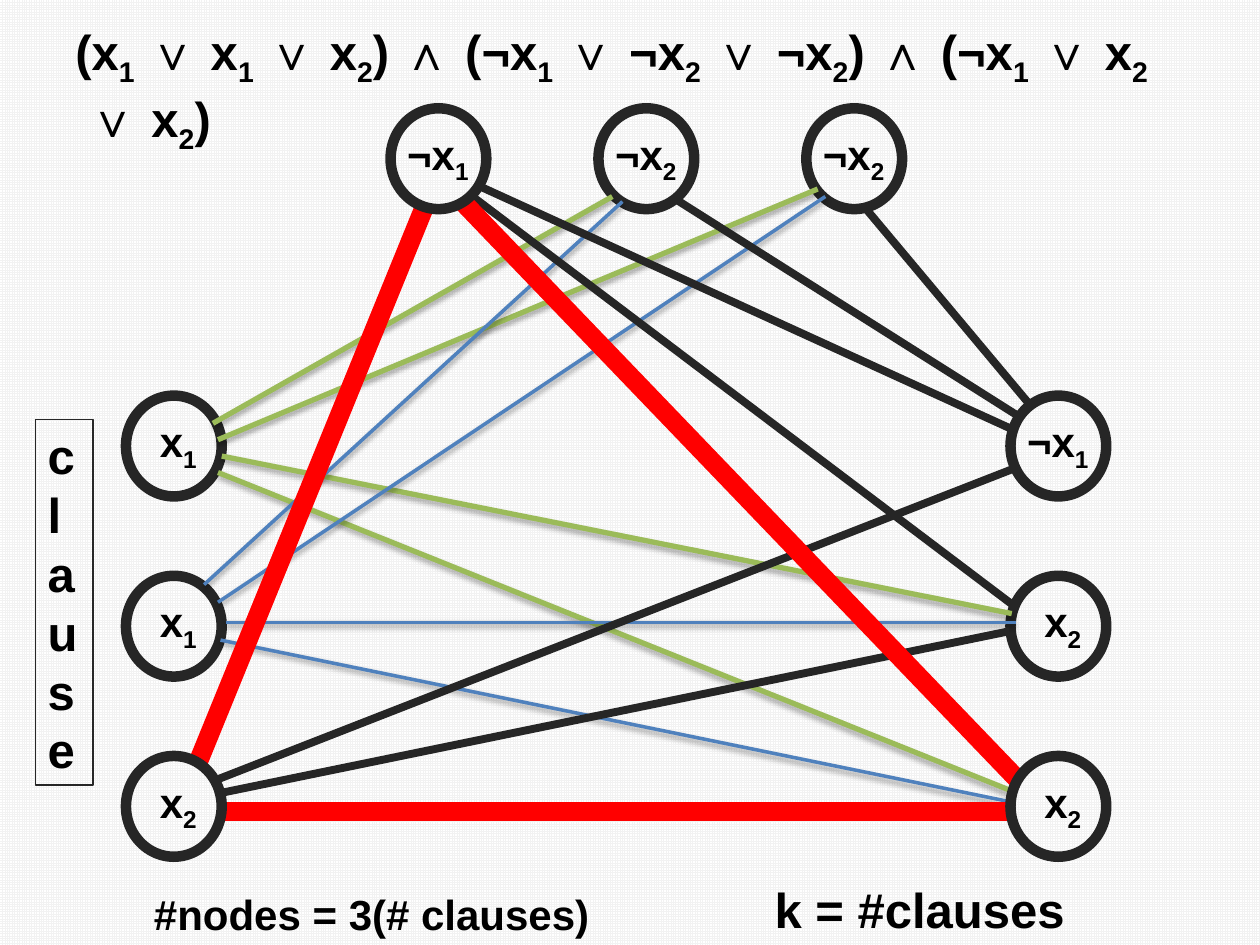
"""Build a slide that reduces a three-clause formula to a clique graph."""
from lxml.etree import SubElement
from pptx import Presentation
from pptx.dml.color import RGBColor as RGB
from pptx.enum.dml import MSO_PATTERN as Pattern
from pptx.enum.shapes import MSO_CONNECTOR as Link, MSO_SHAPE as Shape
from pptx.enum.text import MSO_ANCHOR as Anchor, PP_ALIGN as Align
from pptx.oxml.ns import qn
from pptx.util import Inches, Pt

BLACK, DARK = RGB(0, 0, 0), RGB(0x26, 0x26, 0x26)
GREEN, BLUE = RGB(0x9B, 0xBB, 0x59), RGB(0x4F, 0x81, 0xBD)
RED, PALE, WHITE = RGB(255, 0, 0), RGB(0xF2, 0xF2, 0xF2), RGB(255, 255, 255)

FORMULA = "(x_1 ∨ x_1 ∨ x_2) ∧ (¬x_1 ∨ ¬x_2 ∨ ¬x_2) ∧ (¬x_1 ∨ x_2\n ∨ x_2)"

LEFT, RIGHT, TOP = 1, 8.02, 0.86
COLS, ROWS = (3.1, 4.75, 6.4), (3.14, 4.57, 6)
BACK = [
    ("x_1", LEFT, ROWS[0]), ("¬x_1", RIGHT, ROWS[0]),
    ("x_1", LEFT, ROWS[1]), ("x_2", RIGHT, ROWS[1]),
    ("¬x_2", COLS[1], TOP), ("¬x_2", COLS[2], TOP),
]
FRONT = [("x_2", LEFT, ROWS[2]), ("x_2", RIGHT, ROWS[2]), ("¬x_1", COLS[0], TOP)]

# color, width, shadow (opacity %, distance pt), ends
EDGES = [
    (GREEN, 3, (35, 1.8), [
        (1.69, 3.36, 4.86, 1.56), (1.73, 3.49, 6.49, 1.5),
        (1.76, 3.62, 8.03, 4.87), (1.73, 3.75, 8.01, 6.27)]),
    (BLUE, 2, (38, 1.6), [
        (1.62, 4.64, 4.94, 1.6), (1.73, 4.78, 6.55, 1.56),
        (1.79, 4.94, 8.06, 4.94), (1.75, 5.08, 8, 6.36)]),
    (DARK, 4.5, None, [
        (1.69, 6.2, 8.07, 3.71), (1.72, 6.3, 8.01, 5.01),
        (3.81, 1.48, 8.04, 3.41), (3.75, 1.56, 8.05, 4.81),
        (5.36, 1.58, 8.11, 3.32), (6.85, 1.63, 8.18, 3.22)]),
    (RED, 11, None, [
        (3.37, 1.64, 1.56, 6.08), (8.02, 6.44, 1.76, 6.44),
        (3.67, 1.6, 8.07, 6.18)]),
]


def write(frame, text, size=24, align=Align.LEFT, wrap=True):
    frame.word_wrap = wrap
    frame.vertical_anchor = Anchor.TOP
    para = frame.paragraphs[0]
    para.alignment = align

    def add(part, sub=False):
        run = para.add_run()
        run.text = part
        font = run.font
        font.name, font.size, font.bold = "Arial", Pt(size), True
        font.color.rgb = BLACK
        if sub:
            run._r.get_or_add_rPr().set("baseline", "-25000")

    for row, line in enumerate(text.split("\n")):
        if row:
            para.add_line_break()
        head, *rest = line.split("_")
        add(head)
        for part in rest:
            add(part[0], sub=True)
            if part[1:]:
                add(part[1:])


def place(shapes, box, text, **form):
    area = shapes.add_textbox(*map(Inches, box))
    write(area.text_frame, text, **form)


def draw(shapes, kind, box, width):
    shape = shapes.add_shape(kind, *map(Inches, box))
    shape.shadow.inherit = False
    shape.fill.background()
    shape.line.color.rgb = DARK
    shape.line.width = Pt(width)
    return shape


def add_node(slide, label, left, top):
    shapes = slide.shapes.add_group_shape().shapes
    draw(shapes, Shape.OVAL, (left, top, 0.76, 0.8), 6)
    shift, width = (0, 0.75) if label[0] == "¬" else (0.16, 0.51)
    place(shapes, (left + shift, top + 0.11, width, 0.5), label,
          align=Align.CENTER, wrap=False)


def add_edge(slide, ends, color, width, shade):
    edge = slide.shapes.add_connector(Link.STRAIGHT, *map(Inches, ends))
    edge.line.color.rgb = color
    edge.line.width = Pt(width)
    effect = SubElement(edge._element.spPr, qn("a:effectLst"))
    if shade:
        alpha, gap = shade
        cast = SubElement(effect, qn("a:outerShdw"), blurRad=str(Pt(3.1)),
                          dist=str(Pt(gap)), dir="5400000", rotWithShape="0")
        tint = SubElement(cast, qn("a:srgbClr"), val=str(BLACK))
        SubElement(tint, qn("a:alpha"), val=str(alpha * 1000))


def main():
    deck = Presentation()
    deck.slide_width, deck.slide_height = Inches(10), Inches(7.5)
    slide = deck.slides.add_slide(deck.slide_layouts[6])
    fill = slide.background.fill
    fill.patterned()
    fill.pattern = Pattern.SMALL_GRID
    fill.fore_color.rgb, fill.back_color.rgb = PALE, WHITE

    place(slide.shapes, (0.5, 0.12, 9.08, 0.57), FORMULA, size=28)
    for node in BACK:
        add_node(slide, *node)
    for color, width, shade, lines in EDGES:
        for ends in lines:
            add_edge(slide, ends, color, width, shade)
    for node in FRONT:
        add_node(slide, *node)

    place(slide.shapes, (6.05, 6.93, 2.51, 0.57), "k = #clauses", size=28)
    side = draw(slide.shapes, Shape.RECTANGLE, (0.28, 3.33, 0.46, 2.9), 0.75)
    write(side.text_frame, "clause", size=28)
    place(slide.shapes, (0.31, 7, 5.28, 0.5), "#nodes = 3(# clauses)",
          align=Align.CENTER)
    deck.save("out.pptx")


if __name__ == "__main__":
    main()
